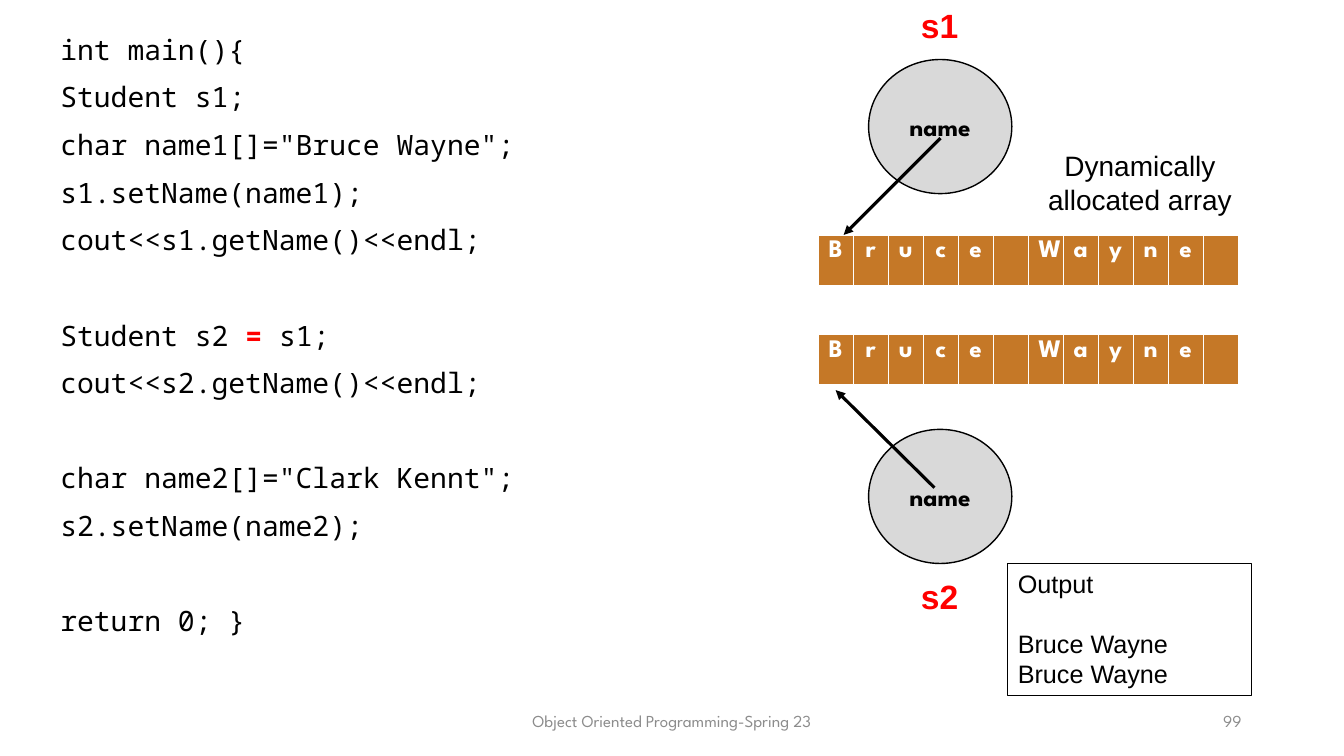
from lxml.etree import SubElement
from pptx import Presentation
from pptx.dml.color import RGBColor as Rgb
from pptx.enum.shapes import MSO_CONNECTOR as Link, MSO_SHAPE as Shape
from pptx.enum.text import MSO_ANCHOR as Anchor, PP_ALIGN as Align
from pptx.oxml.ns import qn
from pptx.util import Cm, Pt

HUES = {"ink": "000000", "red": "FF0000", "grey": "8C8C8C",
        "disc": "D9D9D9", "cell": "C57827", "white": "FFFFFF"}
SANS, HEAD, MONO = "Arial", "League Spartan", "Noto Sans Mono"
CODE = [
    ["int main(){", "Student s1;", 'char name1[]="Bruce Wayne";',
     "s1.setName(name1);", "cout<<s1.getName()<<endl;"],
    ["Student s2 = s1;", "cout<<s2.getName()<<endl;"],
    ['char name2[]="Clark Kennt";', "s2.setName(name2);"],
    ["return 0; }"],
]


def hue(name):
    return Rgb.from_string(HUES[name])


def style(font, face, size, color="ink", bold=False):
    font.name, font.size, font.bold = face, Pt(size), bold
    font.color.rgb = hue(color)


def write(frame, text, face, size, color="ink", bold=False, align=Align.LEFT):
    frame.text = text
    for para in frame.paragraphs:
        para.alignment = align
        for run in para.runs:
            style(run.font, face, size, color, bold)


def add_label(slide, box, text, *look, wrap=False, anchor=Anchor.TOP, **more):
    frame = slide.shapes.add_textbox(*map(Cm, box)).text_frame
    frame.word_wrap = wrap
    frame.vertical_anchor = anchor
    write(frame, text, *look, **more)
    return frame


def add_code(slide):
    lines = [line for block in CODE for line in block]
    heads = [block[0] for block in CODE]
    frame = add_label(slide, (1.27, 0.69, 22.86, 16.38), "\n".join(lines),
                      MONO, 20, wrap=True)
    for index, para in enumerate(frame.paragraphs):
        para.line_spacing = Pt(24)
        if index:
            para.space_before = Pt(44 if lines[index] in heads else 10)
        left, sign, right = lines[index].partition("= ")
        if sign:
            para.runs[0].text = left
            for text, color, bold in ((sign, "red", True), (right, "ink", False)):
                run = para.add_run()
                run.text = text
                style(run.font, MONO, 20, color, bold)


def add_form(slide, kind, box, width, fill=None):
    form = slide.shapes.add_shape(kind, *map(Cm, box))
    form.shadow.inherit = False
    if fill:
        form.fill.solid()
        form.fill.fore_color.rgb = hue(fill)
    else:
        form.fill.background()
    form.line.color.rgb = hue("ink")
    form.line.width = Pt(width)
    return form.text_frame


def add_disc(slide, top):
    frame = add_form(slide, Shape.OVAL, (21.89, top, 3.61, 3.38), 1, "disc")
    frame.vertical_anchor = Anchor.MIDDLE
    write(frame, "name", HEAD, 18, bold=True, align=Align.CENTER)


def add_edge(cell, side, width):
    edge = SubElement(cell._tc.get_or_add_tcPr(), qn("a:" + side), w=str(Pt(width)))
    fill = SubElement(edge, qn("a:solidFill"))
    SubElement(fill, qn("a:srgbClr"), val=HUES["white"])


def add_array(slide, top, text):
    count = len(text)
    table = slide.shapes.add_table(1, count, Cm(20.62), Cm(top),
                                   Cm(10.59), Cm(1.3)).table
    for col, char in enumerate(text):
        table.columns[col].width = Cm(10.59 / count)
        cell = table.cell(0, col)
        for side, width in (("lnL", 1), ("lnR", 1), ("lnT", 1), ("lnB", 3)):
            add_edge(cell, side, width)
        cell.fill.solid()
        cell.fill.fore_color.rgb = hue("cell")
        write(cell.text_frame, char.strip(), HEAD, 18, "white", True, Align.CENTER)


def add_arrow(slide, *ends):
    arrow = slide.shapes.add_connector(Link.STRAIGHT, *map(Cm, ends))
    arrow.line.color.rgb = hue("ink")
    arrow.line.width = Pt(2.25)
    SubElement(arrow.line._get_or_add_ln(), qn("a:tailEnd"), type="triangle")
    SubElement(arrow._element.spPr, qn("a:effectLst"))


def add_output(slide):
    frame = add_form(slide, Shape.RECTANGLE, (25.4, 14.2, 6.15, 3.33), 0.75)
    frame.word_wrap = True
    frame.vertical_anchor = Anchor.TOP
    write(frame, "Output\nBruce Wayne\nBruce Wayne", SANS, 18)
    frame.paragraphs[1].space_before = Pt(21)


def main():
    deck = Presentation()
    deck.slide_width, deck.slide_height = Cm(33.87), Cm(19.05)
    slide = deck.slides.add_slide(deck.slide_layouts[6])

    for left, width, text, align in (
            (11.22, 11.43, "Object Oriented Programming-Spring 23", Align.CENTER),
            (23.92, 7.62, "99", Align.RIGHT)):
        add_label(slide, (left, 17.66, width, 1.01), text, HEAD, 12, "grey",
                  wrap=True, anchor=Anchor.MIDDLE, align=align)
    add_code(slide)

    for name, label, disc, array in (("s1", 0, 1.5, 5.92), ("s2", 14.4, 10.82, 8.43)):
        add_label(slide, (22.96, label, 1.47, 1.27), name, SANS, 24, "red", True)
        add_disc(slide, disc)
        add_array(slide, array, "Bruce Wayne ")
    add_arrow(slide, 23.7, 3.48, 21.26, 5.92)
    add_arrow(slide, 23.55, 12.29, 21.06, 9.83)

    add_label(slide, (26.14, 3.63, 5.18, 1.96), "Dynamically\nallocated array",
              SANS, 20, align=Align.CENTER)
    add_output(slide)
    deck.save("out.pptx")


if __name__ == "__main__":
    main()
